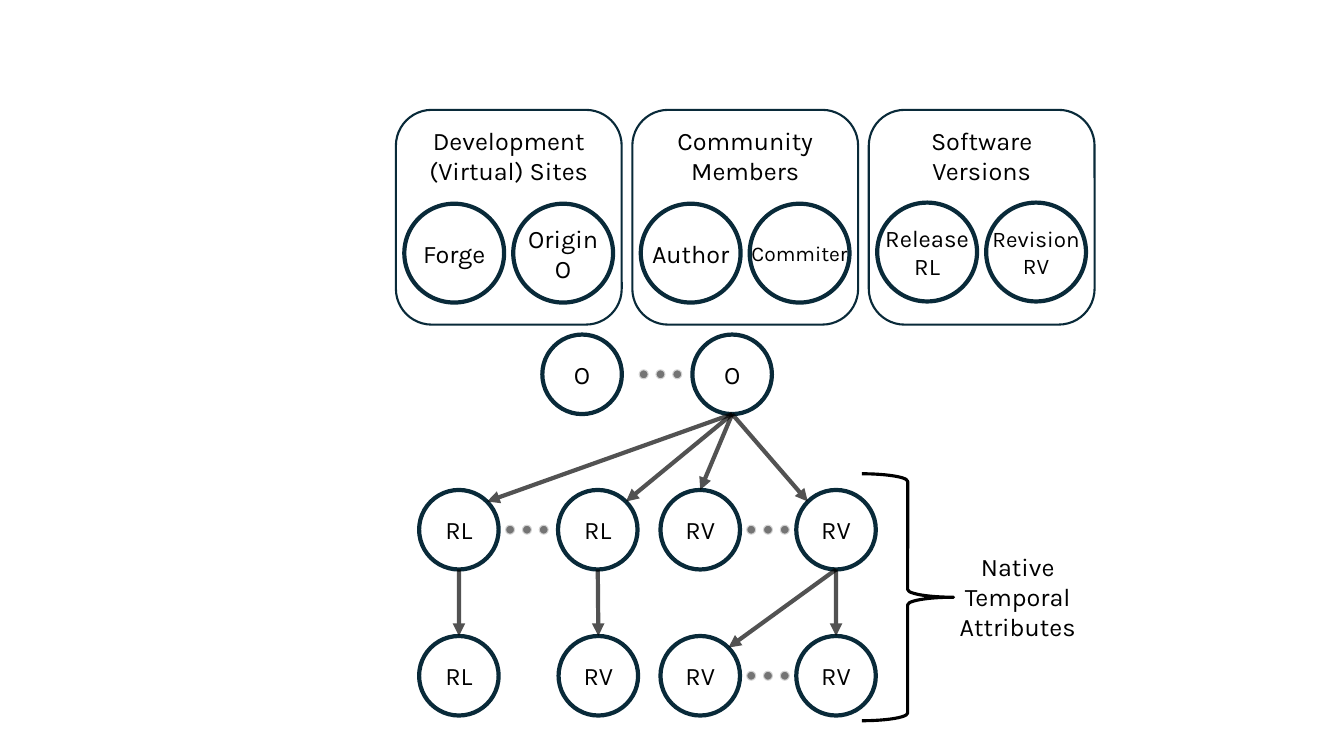
from lxml import etree
from pptx import Presentation
from pptx import util as u
from pptx.dml import color as c
from pptx.enum import shapes as s, text as t
from pptx.oxml import ns

COLORS = {"navy": "092A39", "black": "000000", "white": "FFFFFF", "dot": "747474"}
FONT = "Karla"


def outline(part, color, width, opacity=None):
    """Give a part a plain line without shadow."""
    part.line.color.rgb = c.RGBColor.from_string(COLORS[color])
    part.line.width = u.Pt(width)
    properties = part._element.spPr
    if opacity:
        tone = properties.find(".//" + ns.qn("a:ln")).find(".//" + ns.qn("a:srgbClr"))
        etree.SubElement(tone, ns.qn("a:alpha"), val=str(opacity * 1000))
    etree.SubElement(properties, ns.qn("a:effectLst"))


def write(part, lines, size=18, wrap=False, anchor=t.MSO_ANCHOR.MIDDLE):
    """Write centred lines, one paragraph each."""
    frame = part.text_frame
    frame.word_wrap = wrap
    frame.vertical_anchor = anchor
    for number, line in enumerate(lines):
        paragraph = frame.add_paragraph() if number else frame.paragraphs[0]
        paragraph.alignment = t.PP_ALIGN.CENTER
        run = paragraph.add_run()
        run.text = line
        run.font.name = FONT
        run.font.size = u.Pt(size)
        run.font.color.rgb = c.RGBColor.from_string(COLORS["black"])


deck = Presentation()
deck.slide_width, deck.slide_height = u.Pt(960), u.Pt(540)
slide = deck.slides.add_slide(deck.slide_layouts[6])
parts = slide.shapes

# White frame behind the diagram
backdrop = parts.add_shape(s.MSO_SHAPE.RECTANGLE, u.Pt(280), u.Pt(70), u.Pt(507.6), u.Pt(454.3))
backdrop.fill.background()
outline(backdrop, "white", 1.5)

# Three entity groups: heading, top of the circles, (lines, text size) of each circle
groups = [
    (["Development", "(Virtual) Sites"], 145.5, [(["Forge"], 18), (["Origin", "O"], 18)]),
    (["Community", "Members"], 145.5, [(["Author"], 18), (["Commiter"], 15)]),
    (["Software", "Versions"], 144.7, [(["Release", "RL"], 17), (["Revision", "RV"], 16)]),
]
for column, (heading, circle_top, entities) in enumerate(groups):
    left = 282.8 + 168.9 * column
    group = parts.add_shape(s.MSO_SHAPE.ROUNDED_RECTANGLE,
                            u.Pt(left), u.Pt(78.5), u.Pt(161.3), u.Pt(153.4))
    group.fill.background()
    outline(group, "navy", 1.5)
    write(group, heading, wrap=True, anchor=t.MSO_ANCHOR.TOP)
    for place, (lines, size) in enumerate(entities):
        entity = parts.add_shape(s.MSO_SHAPE.OVAL, u.Pt(left + 6 + 77.8 * place),
                                 u.Pt(circle_top), u.Pt(71.3), u.Pt(70.6))
        entity.fill.background()
        outline(entity, "navy", 3)
        write(entity, lines, size)
        entity.text_frame.margin_left = entity.text_frame.margin_right = 0

# Graph nodes: label and centre
RADIUS = 28.4
ORIGIN_Y, VERSION_Y, HISTORY_Y = 267.4, 378.4, 482.7
nodes = {
    "first origin": ("O", 415.8, ORIGIN_Y),
    "last origin": ("O", 523, ORIGIN_Y),
    "first release": ("RL", 327.8, VERSION_Y),
    "last release": ("RL", 427, VERSION_Y),
    "first revision": ("RV", 500.2, VERSION_Y),
    "last revision": ("RV", 597.2, VERSION_Y),
    "release parent": ("RL", 327.8, HISTORY_Y),
    "release revision": ("RV", 427.4, HISTORY_Y),
    "first ancestor": ("RV", 500.2, HISTORY_Y),
    "last ancestor": ("RV", 597.2, HISTORY_Y),
}
for label, x, y in nodes.values():
    node = parts.add_shape(s.MSO_SHAPE.OVAL, u.Pt(x - RADIUS), u.Pt(y - RADIUS),
                           u.Pt(2 * RADIUS), u.Pt(2 * RADIUS))
    node.fill.background()
    outline(node, "navy", 3)
    write(node, [label])

# Arrows leave the bottom of a node and land on a side of another
DIAGONAL = 0.71
sides = {"top": (0, -1), "top left": (-DIAGONAL, -DIAGONAL), "top right": (DIAGONAL, -DIAGONAL)}
links = [
    ("last origin", "first release", "top right"),
    ("last origin", "last release", "top right"),
    ("last origin", "first revision", "top"),
    ("last origin", "last revision", "top left"),
    ("first release", "release parent", "top"),
    ("last release", "release revision", "top"),
    ("last revision", "first ancestor", "top right"),
    ("last revision", "last ancestor", "top"),
]
for source, target, side in links:
    _, start_x, start_y = nodes[source]
    _, end_x, end_y = nodes[target]
    across, down = sides[side]
    arrow = parts.add_connector(s.MSO_CONNECTOR.STRAIGHT,
                                u.Pt(start_x), u.Pt(start_y + RADIUS),
                                u.Pt(end_x + RADIUS * across), u.Pt(end_y + RADIUS * down))
    outline(arrow, "black", 3, 67)
    etree.SubElement(arrow._element.spPr.find(ns.qn("a:ln")), ns.qn("a:tailEnd"), type="triangle")

# Ellipsis dots between nodes: centre of the middle dot
DOT = 7.2
for middle, y in [(471.8, ORIGIN_Y), (376.4, VERSION_Y), (548.6, VERSION_Y), (548.6, HISTORY_Y)]:
    for step in (-1, 0, 1):
        dot = parts.add_shape(s.MSO_SHAPE.OVAL, u.Pt(middle - DOT / 2 + 12 * step - 4 * 0),
                              u.Pt(y - DOT / 2), u.Pt(DOT), u.Pt(DOT))
        dot.fill.solid()
        dot.fill.fore_color.rgb = c.RGBColor.from_string(COLORS["dot"])
        outline(dot, "white", 1.5, 67)

# Brace and its caption
brace = parts.add_shape(s.MSO_SHAPE.RIGHT_BRACE, u.Pt(615.6), u.Pt(338.4), u.Pt(65.5), u.Pt(176.4))
brace.fill.background()
outline(brace, "black", 2.25)
caption = parts.add_textbox(u.Pt(664.6), u.Pt(389.5), u.Pt(124.6), u.Pt(72.7))
write(caption, ["Native", "Temporal", "Attributes"], wrap=True)
caption.text_frame.auto_size = t.MSO_AUTO_SIZE.SHAPE_TO_FIT_TEXT

deck.save("out.pptx")
